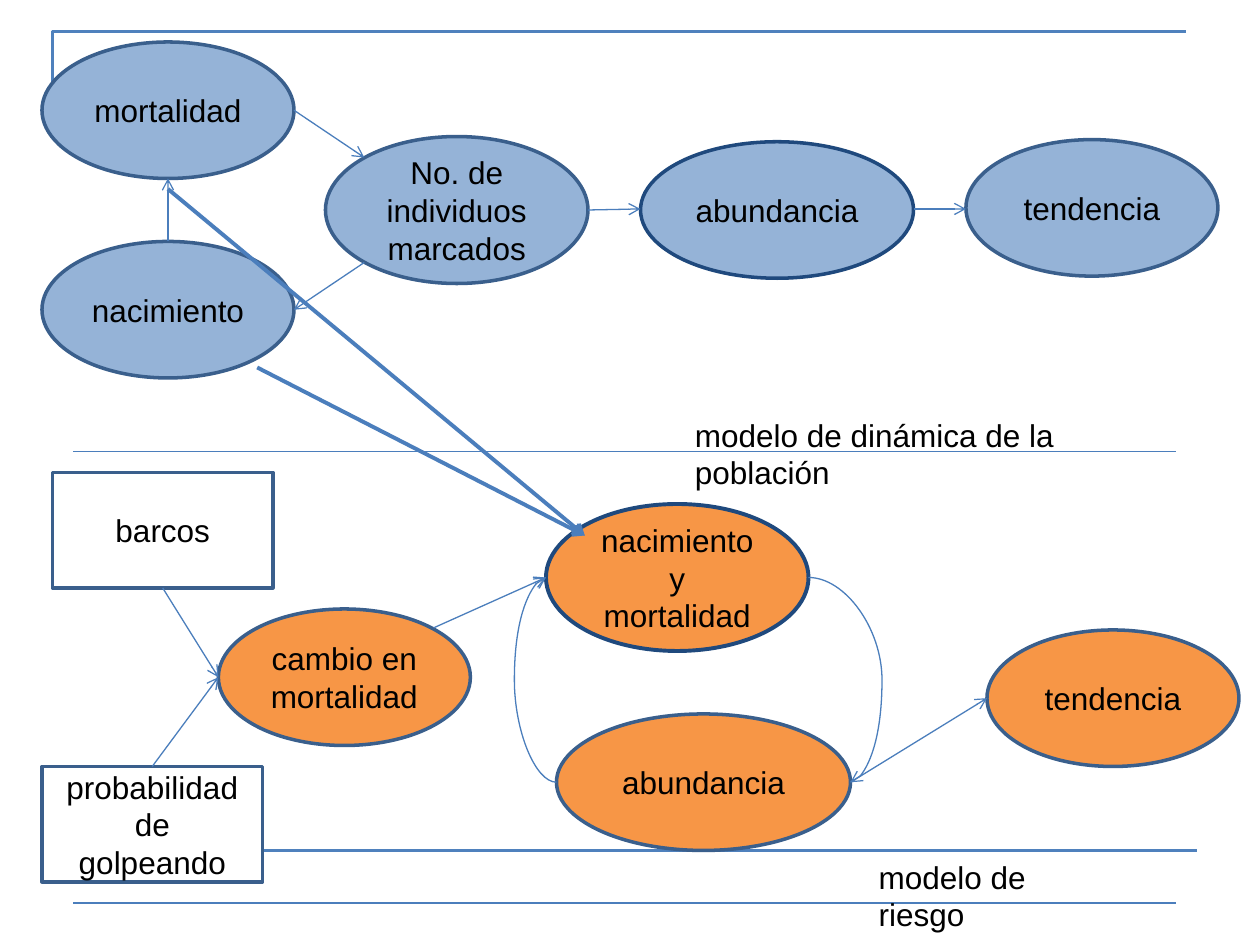
import pptx
import pptx.util
import pptx.dml.color
import pptx.enum.shapes
import pptx.enum.text
import pptx.oxml
import pptx.oxml.ns

HUES = {"blue": "95B3D7", "orange": "F79646", "white": "FFFFFF", "black": "000000",
        "edge": "3A5F8C", "navy": "1F497D", "rule": "4F81BD", "link": "4B7EBC"}
rgb = {name: pptx.dml.color.RGBColor.from_string(code) for name, code in HUES.items()}
kinds = pptx.enum.shapes.MSO_SHAPE
links = pptx.enum.shapes.MSO_CONNECTOR
FONT = {"name": "Arial", "size": pptx.util.Pt(18)}
FRAME = {"word_wrap": True, "vertical_anchor": pptx.enum.text.MSO_ANCHOR.MIDDLE}

deck = pptx.Presentation()
deck.slide_width = pptx.util.Inches(10)
deck.slide_height = pptx.util.Inches(7.5)
cell = deck.slide_width // 120
slide = deck.slides.add_slide(deck.slide_layouts[6])


def write(shape, text, align, frame):
    body = shape.text_frame
    body.text = text
    for key, value in frame.items():
        setattr(body, key, value)
    for para in body.paragraphs:
        para.alignment = align
        for run in para.runs:
            for key, value in FONT.items():
                setattr(run.font, key, value)
            run.font.color.rgb = rgb["black"]


def join(home, ends, width=0.75, hue="link", head=True, kind=links.STRAIGHT):
    line = home.shapes.add_connector(kind, *[round(end * cell) for end in ends])
    line.line.color.rgb = rgb[hue]
    line.line.width = pptx.util.Pt(width)
    props = line._element.spPr
    if head:
        tip = pptx.oxml.ns.qn("a:tailEnd")
        props.find(pptx.oxml.ns.qn("a:ln")).append(
            props.makeelement(tip, {"type": "arrow"}))
    props.append(props.makeelement(pptx.oxml.ns.qn("a:effectLst"), {}))
    return line


path = slide.shapes.build_freeform(5, 11, scale=cell)
path.add_line_segments([(5, 3), (113, 3)], close=False)
frame = path.convert_to_shape()
frame.shadow.inherit = False
frame.fill.background()
frame.line.color.rgb = rgb["rule"]
frame.line.width = pptx.util.Pt(1.5)

join(slide, (6, 81, 114, 81), 1.5, "rule", False)
for row in (43, 86):
    join(slide, (7, row, 112, row), head=False)

for text, col, row, wide, high in (
        ("modelo de dinámica de la población", 65, 39, 46.9, 4.8),
        ("modelo de riesgo", 82.5, 81.1, 24.5, 4.8)):
    label = slide.shapes.add_textbox(*[round(n * cell) for n in (col, row, wide, high)])
    write(label, text, pptx.enum.text.PP_ALIGN.LEFT, {"word_wrap": True})

nodes = (
    ("barcos", 5, 45, 21, 11, "white", "edge", 2),
    ("mortalidad", 4, 4, 24, 13, "blue", "edge", 2),
    ("No. de\nindividuos marcados", 31, 13, 25, 14, "blue", "edge", 2),
    ("cambio en\nmortalidad", 20.8, 58, 24, 13, "orange", "edge", 2),
    ("abundancia", 61, 13.5, 26, 13, "blue", "navy", 2),
    ("probabilidad\nde\ngolpeando", 4, 73, 21, 11, "white", "edge", 2),
    ("abundancia", 53, 68, 28, 13, "orange", "edge", 2),
    ("nacimiento y mortalidad", 52, 48, 25, 14, "orange", "navy", 2.25),
    ("tendencia", 92, 13.3, 24, 13, "blue", "edge", 2),
    ("nacimiento", 4, 23, 24, 13, "blue", "edge", 2),
    ("tendencia", 94, 60, 24, 13, "orange", "edge", 2),
)
boxes = {}
for text, col, row, wide, high, fill, edge, width in nodes:
    kind = kinds.RECTANGLE if fill == "white" else kinds.OVAL
    node = slide.shapes.add_shape(kind, *[round(n * cell) for n in (col, row, wide, high)])
    node.shadow.inherit = False
    node.fill.solid()
    node.fill.fore_color.rgb = rgb[fill]
    node.line.color.rgb = rgb[edge]
    node.line.width = pptx.util.Pt(width)
    write(node, text, pptx.enum.text.PP_ALIGN.CENTER, FRAME)
    if fill == "white":
        boxes[text.split()[0]] = node

for ends in ((28, 10.5, 34.7, 15), (34.7, 25, 28, 29.5), (16, 23, 16, 17),
             (56, 20, 61, 19.9), (87, 19.9, 92, 19.9),
             (41.3, 59.8, 52, 55), (81, 74.5, 94, 66.5)):
    join(slide, ends)

pair = slide.shapes.add_group_shape()
for ends in ((24.5, 35, 55.7, 51), (16, 18, 55.7, 51)):
    join(pair, ends, 2.25)

for name, side, ends in (("barcos", 2, (15.5, 56, 20.8, 64.5)),
                         ("probabilidad", 0, (14.5, 73, 20.8, 64.5))):
    join(slide, ends).begin_connect(boxes[name], side)

for ends, bend in (((77, 55, 81, 74.5), 175000), ((53, 74.5, 52, 55), 400000)):
    curve = join(slide, ends, kind=links.CURVE)
    shape = curve._element.spPr.find(pptx.oxml.ns.qn("a:prstGeom"))
    rules = shape.get_or_add_avLst()
    rules.append(rules.makeelement(pptx.oxml.ns.qn("a:gd"),
                                   {"name": "adj1", "fmla": f"val {bend}"}))

deck.save("out.pptx")
